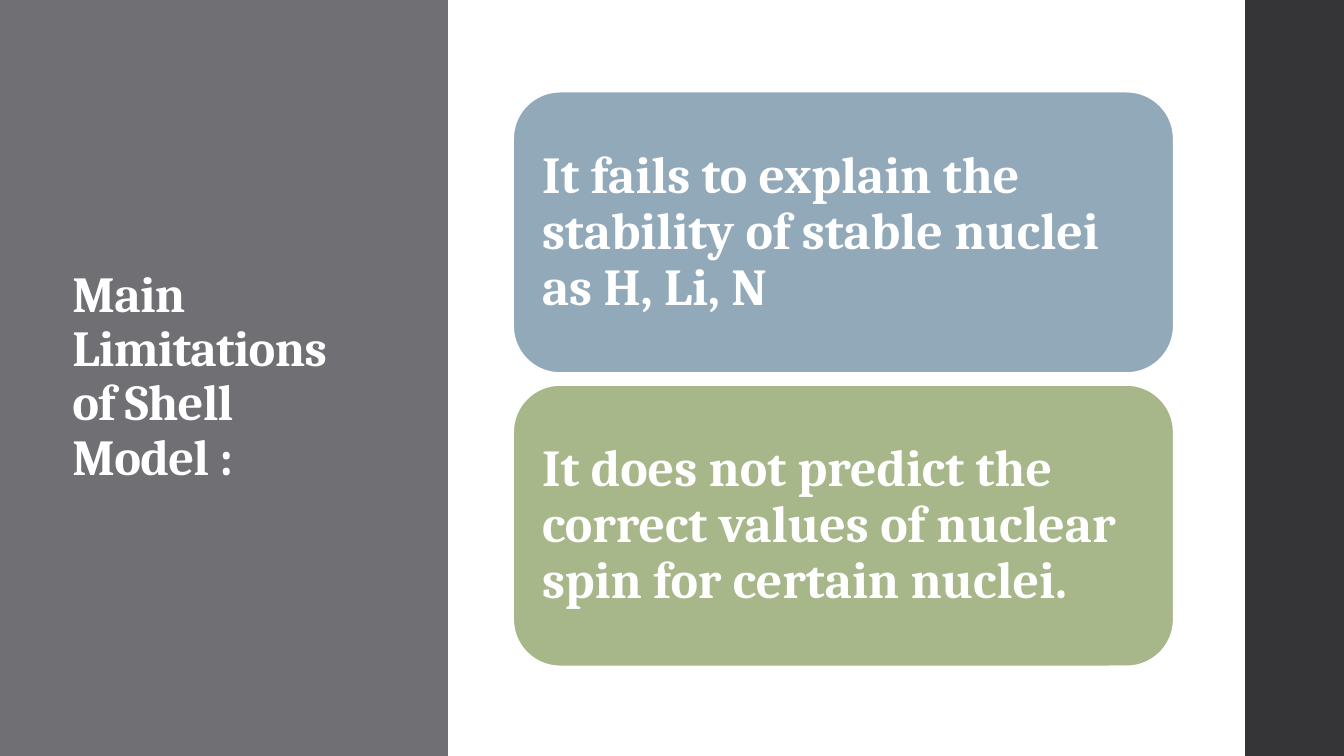
from pptx import Presentation, util as u
from pptx.dml.color import RGBColor
from pptx.enum import shapes, text

WHITE = RGBColor(0xFF, 0xFF, 0xFF)
GREY = RGBColor(0x6F, 0x6F, 0x74)
DARK = RGBColor(0x35, 0x35, 0x37)
BLUE = RGBColor(0x92, 0xA9, 0xB9)
GREEN = RGBColor(0xA7, 0xB7, 0x89)

WIDE, HIGH = 13.33, 7.5
SIDE = WIDE / 3
EDGE = 12.35
TOP, LEFT = 0.91, 5.09
CARD_W, CARD_H, STEP = 6.55, 2.79, 2.91


def block(kind, x, y, w, h, fill):
    shape = slide.shapes.add_shape(
        kind, u.Inches(x), u.Inches(y), u.Inches(w), u.Inches(h))
    shape.shadow.inherit = False
    shape.fill.solid()
    shape.fill.fore_color.rgb = fill
    shape.line.fill.background()
    return shape


def write(shape, words, size, pad):
    """Set one left-aligned bold paragraph, centred in height."""
    frame = shape.text_frame
    frame.word_wrap = True
    frame.vertical_anchor = text.MSO_ANCHOR.MIDDLE
    frame.margin_left = frame.margin_right = u.Inches(pad)
    frame.margin_top = frame.margin_bottom = u.Inches(pad)
    para = frame.paragraphs[0]
    para.alignment = text.PP_ALIGN.LEFT
    para.line_spacing = 0.9
    run = para.add_run()
    run.text = words
    run.font.name = "Cambria"
    run.font.size = u.Pt(size)
    run.font.bold = True
    run.font.color.rgb = WHITE
    return run


deck = Presentation()
deck.slide_width = u.Inches(WIDE)
deck.slide_height = u.Inches(HIGH)
slide = deck.slides.add_slide(deck.slide_layouts[6])

RECT = shapes.MSO_SHAPE.RECTANGLE
ROUND = shapes.MSO_SHAPE.ROUNDED_RECTANGLE

# Side panels and title
block(RECT, 0, 0, SIDE, HIGH, GREY)
block(RECT, EDGE, 0, WIDE - EDGE, HIGH, DARK)
title = slide.shapes.add_textbox(
    u.Inches(0.62), u.Inches(TOP), u.Inches(2.97), u.Inches(5.67))
run = write(title, "Main Limitations of Shell Model :", 36, 0.1)
run._r.get_or_add_rPr().set("spc", "-50")

# Limitation cards
cards = [
    ("It fails to explain the stability of stable nuclei as H, Li, N", BLUE),
    ("It does not predict the correct values of nuclear spin for certain nuclei.",
     GREEN),
]
for row, (words, fill) in enumerate(cards):
    card = block(ROUND, LEFT, TOP + row * STEP, CARD_W, CARD_H, fill)
    card.line.color.rgb = WHITE
    card.line.width = u.Pt(1.1)
    write(card, words, 37, 0.15)

deck.save("out.pptx")
